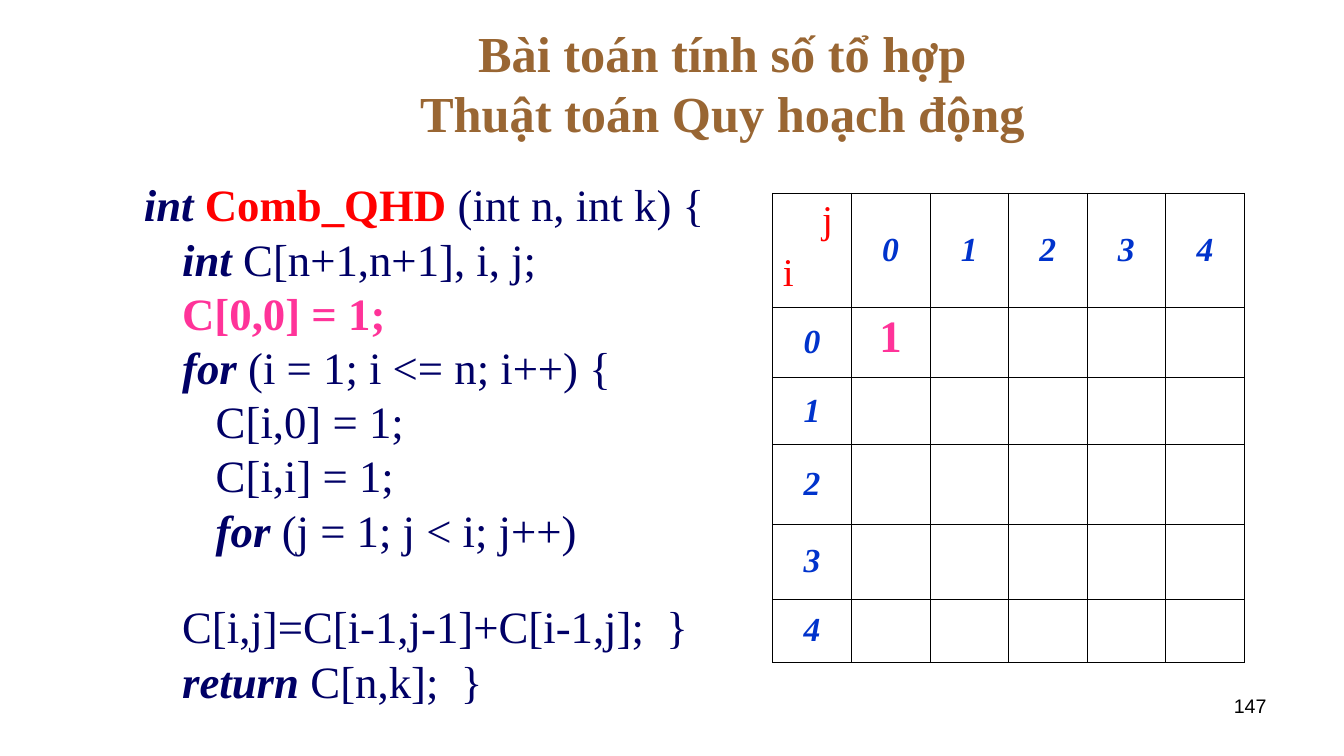
from lxml.etree import SubElement
from pptx import Presentation
from pptx.dml.color import RGBColor
from pptx.enum.text import MSO_ANCHOR, PP_ALIGN
from pptx.oxml.ns import qn
from pptx.util import Inches, Pt

THEME = {
    "serif": "Times New Roman", "sans": "Arial",
    "title": "996633", "code": "000066", "name": "FF0000",
    "value": "FF3399", "index": "0033CC", "black": "000000",
    "title_size": 36, "code_size": 32, "corner_size": 28,
    "index_size": 24, "page_size": 14, "outer": 1.08, "inner": 0.45,
}

TITLE = ["Bài toán tính số tổ hợp", "Thuật toán Quy hoạch động"]
PAGE_NUMBER = "147"

KEYWORD = {"bold": True, "italic": True}
NAME = {"bold": True, "color": THEME["name"]}
VALUE = {"bold": True, "color": THEME["value"]}

# Each line: left margin, space before, spans of (text, format)
INDENT, GAP, WIDE_GAP = 0.38, 8, 38.5
CODE = [
    (0, 0, [("int ", KEYWORD), ("Comb_QHD ", NAME), ("(int n, int k) {", {})]),
    (INDENT, GAP, [("int ", KEYWORD), ("C[n+1,n+1], i, j;", {})]),
    (INDENT, GAP, [("C[0,0] = 1;", VALUE)]),
    (INDENT, GAP, [("for", KEYWORD), (" (i = 1; i <= n; i++) {", {})]),
    (INDENT, GAP, [("   C[i,0] = 1;", {})]),
    (INDENT, GAP, [("   C[i,i] = 1;", {})]),
    (INDENT, GAP, [("   for ", KEYWORD), ("(j = 1; j < i; j++)", {})]),
    (INDENT, WIDE_GAP, [("C[i,j]=C[i-1,j-1]+C[i-1,j];  }", {})]),
    (INDENT, GAP, [("return", KEYWORD), (" C[n,k];  }", {})]),
]

INDICES = ["0", "1", "2", "3", "4"]
KNOWN_VALUES = {(0, 0): "1"}
COLUMN_WIDTH = 0.78
ROW_HEIGHTS = [1.13, 0.69, 0.67, 0.79, 0.74, 0.63]


def add_span(para, text, size, color, font=THEME["serif"], bold=False, italic=False):
    span = para.add_run()
    span.text = text
    span.font.name, span.font.size = font, Pt(size)
    span.font.bold, span.font.italic = bold, italic
    span.font.color.rgb = RGBColor.from_string(color)


def format_para(para, align=PP_ALIGN.LEFT, before=0, left=0, spacing=1.0):
    para.alignment = align
    para.space_before = Pt(before)
    para.line_spacing = spacing
    properties = para._p.get_or_add_pPr()
    properties.set("marL", str(Inches(left)))
    properties.set("indent", "0")


def add_box(page, left, top, width, height, anchor=MSO_ANCHOR.TOP):
    box = page.shapes.add_textbox(Inches(left), Inches(top), Inches(width), Inches(height))
    frame = box.text_frame
    frame.word_wrap = True
    frame.vertical_anchor = anchor
    return frame


def next_para(frame, position):
    return frame.paragraphs[0] if position == 0 else frame.add_paragraph()


def style_cell(cell, row, column, last):
    """Clear the fill and draw heavier borders on the outside of the table."""
    cell.fill.background()
    properties = cell._tc.get_or_add_tcPr()
    on_edge = {"a:lnL": column == 0, "a:lnR": column == last,
               "a:lnT": row == 0, "a:lnB": row == last}
    for position, (tag, outside) in enumerate(on_edge.items()):
        width = THEME["outer"] if outside else THEME["inner"]
        line = SubElement(properties, qn(tag), w=str(Pt(width)))
        fill = SubElement(line, qn("a:solidFill"))
        SubElement(fill, qn("a:srgbClr"), val=THEME["black"])
        properties.insert(position, line)


def fill_cell(cell, text, size, color, anchor=MSO_ANCHOR.MIDDLE, italic=False):
    cell.vertical_anchor = anchor
    para = cell.text_frame.paragraphs[0]
    format_para(para, align=PP_ALIGN.CENTER)
    add_span(para, text, size, color, bold=True, italic=italic)


def add_title(page):
    para = add_box(page, 1.67, 0.3, 11, 1.03, anchor=MSO_ANCHOR.MIDDLE).paragraphs[0]
    format_para(para, align=PP_ALIGN.CENTER)
    for position, line in enumerate(TITLE):
        if position:
            para.add_line_break()
        add_span(para, line, THEME["title_size"], THEME["title"], bold=True)


def add_code(page):
    frame = add_box(page, 1.33, 1.81, 6, 5.25)
    for position, (left, before, spans) in enumerate(CODE):
        para = next_para(frame, position)
        format_para(para, before=before, left=left, spacing=0.8)
        for text, style in spans:
            add_span(para, text, THEME["code_size"], **{"color": THEME["code"], **style})


def add_combination_table(page):
    count = len(ROW_HEIGHTS)
    table = page.shapes.add_table(
        count, count, Inches(7.67), Inches(1.92),
        Inches(COLUMN_WIDTH * count), Inches(sum(ROW_HEIGHTS))).table
    table.first_row = table.horz_banding = False
    for column in table.columns:
        column.width = Inches(COLUMN_WIDTH)
    for row, height in zip(table.rows, ROW_HEIGHTS):
        row.height = Inches(height)
    for row in range(count):
        for column in range(count):
            style_cell(table.cell(row, column), row, column, count - 1)

    corner = table.cell(0, 0).text_frame
    for position, (text, left, before) in enumerate([("j", 0.39, 0), ("i", 0, 7)]):
        para = next_para(corner, position)
        format_para(para, left=left, before=before)
        add_span(para, text, THEME["corner_size"], THEME["name"])
    for position, text in enumerate(INDICES, 1):
        for cell in (table.cell(0, position), table.cell(position, 0)):
            fill_cell(cell, text, THEME["index_size"], THEME["index"], italic=True)
    for (i, j), text in KNOWN_VALUES.items():
        fill_cell(table.cell(i + 1, j + 1), text, THEME["code_size"], THEME["value"],
                  anchor=MSO_ANCHOR.TOP)


def add_page_number(page):
    para = add_box(page, 9.56, 6.83, 3.11, 0.52).paragraphs[0]
    format_para(para, align=PP_ALIGN.RIGHT)
    add_span(para, PAGE_NUMBER, THEME["page_size"], THEME["black"], font=THEME["sans"])


def main():
    deck = Presentation()
    deck.slide_width, deck.slide_height = Inches(13.34), Inches(7.5)
    page = deck.slides.add_slide(deck.slide_layouts[6])
    add_title(page)
    add_code(page)
    add_combination_table(page)
    add_page_number(page)
    deck.save("out.pptx")


if __name__ == "__main__":
    main()
